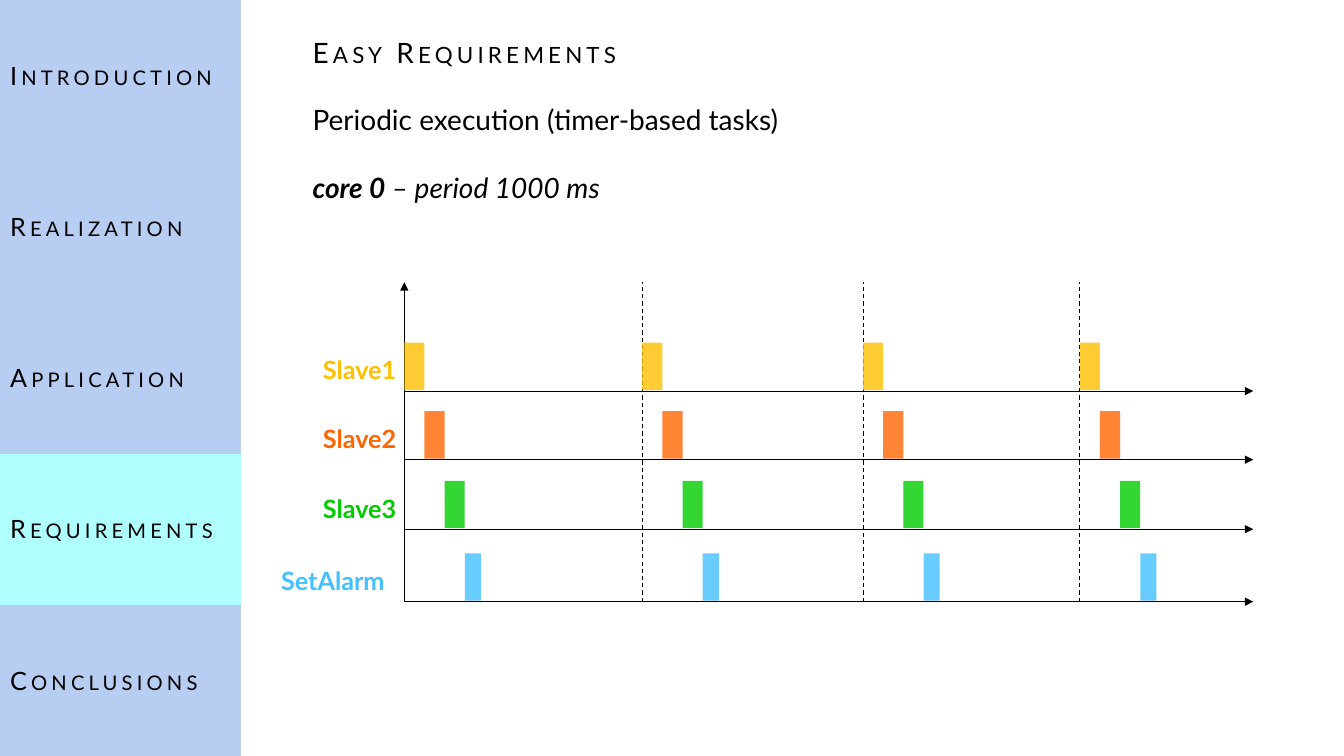
import pptx
import pptx.dml.color
import pptx.enum.dml
import pptx.enum.shapes
import pptx.enum.text
import pptx.oxml
import pptx.oxml.ns
import pptx.util
from pptx.util import Inches

RGBColor = pptx.dml.color.RGBColor
BLACK = RGBColor(0x00, 0x00, 0x00)
SIDEBAR_BLUE = RGBColor(0xB8, 0xCD, 0xF2)
ACTIVE_CYAN = RGBColor(0xAF, 0xFF, 0xFF)
YELLOW = RGBColor(0xFF, 0xC0, 0x00)
ORANGE = RGBColor(0xFF, 0x66, 0x00)
GREEN = RGBColor(0x00, 0xCC, 0x00)
SKY = RGBColor(0x43, 0xC0, 0xFF)

FONT = "Lato"
NO_STYLE = "{2D5ABB26-0587-4C30-8999-92F81FD0307C}"
SECTIONS = ["Introduction", "Realization", "Application", "Requirements", "Conclusions"]
ACTIVE_SECTION = "Requirements"
SIDEBAR_WIDTH, SLIDE_HEIGHT = 2.39, 7.5

# Task name, colour, time axis height, label left edge, execution width
TASKS = [
    ("Slave1", YELLOW, 3.88, 3.0, 0.2),
    ("Slave2", ORANGE, 4.56, 3.0, 0.2),
    ("Slave3", GREEN, 5.25, 3.0, 0.2),
    ("SetAlarm", SKY, 5.97, 2.69, 0.16),
]
PERIOD_STARTS = [4.01, 6.37, 8.56, 10.71]
CHART_TOP, CHART_BOTTOM, TIME_END = 2.8, 5.97, 12.43
LABEL_RIGHT = 4.03
SLOT = 0.2
ALIGN = pptx.enum.text.PP_ALIGN
ANCHOR = pptx.enum.text.MSO_ANCHOR


def add_child(parent, tag, **attributes):
    """Append a DrawingML element with the given attributes."""
    child = pptx.oxml.parse_xml(f"<a:{tag} {pptx.oxml.ns.nsdecls('a')}/>")
    for key, value in attributes.items():
        child.set(key, value)
    parent.append(child)


def add_text(paragraph, text, size=20, color=BLACK, bold=False, italic=False, caps=False):
    """Add a formatted run; caps gives widely spaced small capitals."""
    run = paragraph.add_run()
    run.text = text
    font = run.font
    font.name = FONT
    font.size = pptx.util.Pt(size)
    font.color.rgb = color
    font.bold = bold
    font.italic = italic
    if caps:
        properties = run._r.get_or_add_rPr()
        properties.set("cap", "small")
        properties.set("spc", "300")


def place(placeholder, top, height):
    """Move a placeholder into the heading column and return its text frame."""
    placeholder.left, placeholder.top = Inches(3), Inches(top)
    placeholder.width, placeholder.height = Inches(7.9), Inches(height)
    frame = placeholder.text_frame
    frame.vertical_anchor = ANCHOR.TOP
    frame.auto_size = pptx.enum.text.MSO_AUTO_SIZE.NONE
    return frame


def add_statement(paragraph, space_before):
    """Turn a body paragraph into a plain line without bullet or indent."""
    paragraph.space_before = pptx.util.Pt(space_before)
    properties = paragraph._p.get_or_add_pPr()
    properties.set("marL", "0")
    properties.set("indent", "0")
    add_child(properties, "buNone")
    return paragraph


def add_block(slide, left, top, width, height, color, opacity=100):
    """Add a borderless rectangle, optionally translucent."""
    block = slide.shapes.add_shape(
        pptx.enum.shapes.MSO_SHAPE.RECTANGLE,
        Inches(left), Inches(top), Inches(width), Inches(height))
    block.shadow.inherit = False
    block.fill.solid()
    block.fill.fore_color.rgb = color
    block.line.fill.background()
    if opacity < 100:
        fill_color = block._element.spPr.find(".//" + pptx.oxml.ns.qn("a:srgbClr"))
        add_child(fill_color, "alpha", val=str(opacity * 1000))


def add_line(slide, start, end, width=0.5, dashed=False):
    """Add a black line: an arrow, or a dashed line without arrowhead."""
    connector = slide.shapes.add_connector(
        pptx.enum.shapes.MSO_CONNECTOR.STRAIGHT,
        *(Inches(value) for value in (*start, *end)))
    line = connector.line
    line.color.rgb = BLACK
    line.width = pptx.util.Pt(width)
    if dashed:
        line.dash_style = pptx.enum.dml.MSO_LINE.DASH
    else:
        add_child(line._get_or_add_ln(), "tailEnd", type="triangle")
    add_child(connector._element.spPr, "effectLst")


def add_label(slide, text, left, top, color):
    """Add a task name that ends beside the vertical axis."""
    label = slide.shapes.add_textbox(
        Inches(left), Inches(top), Inches(LABEL_RIGHT - left), Inches(0.4))
    frame = label.text_frame
    frame.word_wrap = False
    paragraph = frame.paragraphs[0]
    paragraph.alignment = ALIGN.LEFT if text == "SetAlarm" else ALIGN.RIGHT
    add_text(paragraph, text, size=18, color=color, bold=True)


def add_sidebar(slide):
    """Add the section list with the active section highlighted."""
    add_block(slide, 0, 0, SIDEBAR_WIDTH, SLIDE_HEIGHT, SIDEBAR_BLUE)
    frame = slide.shapes.add_table(
        len(SECTIONS), 1, 0, 0, Inches(SIDEBAR_WIDTH), Inches(SLIDE_HEIGHT))
    sections = frame.table
    sections.first_row = sections.horz_banding = False
    sections._tbl.tblPr.find(pptx.oxml.ns.qn("a:tableStyleId")).text = NO_STYLE
    for row, section in enumerate(SECTIONS):
        cell = sections.cell(row, 0)
        cell.vertical_anchor = ANCHOR.MIDDLE
        cell.fill.solid()
        cell.fill.fore_color.rgb = ACTIVE_CYAN if section == ACTIVE_SECTION else SIDEBAR_BLUE
        paragraph = cell.text_frame.paragraphs[0]
        paragraph.alignment = ALIGN.LEFT
        add_text(paragraph, section, size=18, caps=True)


def add_headings(slide):
    """Fill the title and the two statements below it."""
    heading = place(slide.shapes.title, 0.3, 0.5).paragraphs[0]
    heading.alignment = ALIGN.LEFT
    add_text(heading, "Easy Requirements", caps=True)

    body = place(slide.placeholders[1], 0.97, 1.11)
    add_text(add_statement(body.paragraphs[0], 0), "Periodic execution (timer-based tasks)")
    period = add_statement(body.add_paragraph(), 24)
    add_text(period, "core 0", bold=True, italic=True)
    add_text(period, " – period 1000 ms", italic=True)


def add_timeline(slide):
    """Draw the periodic schedule of all tasks."""
    origin = PERIOD_STARTS[0]
    add_line(slide, (origin, CHART_BOTTOM), (origin, CHART_TOP))
    for name, color, axis, label_left, _ in TASKS:
        add_line(slide, (origin, axis), (TIME_END, axis))
        add_label(slide, name, label_left, axis - 0.41, color)
    for start in PERIOD_STARTS[1:]:
        add_line(slide, (start, CHART_BOTTOM), (start, CHART_TOP), width=0.75, dashed=True)
    for slot, (_, color, axis, _, width) in enumerate(TASKS):
        for start in PERIOD_STARTS:
            add_block(slide, start + slot * SLOT, axis - 0.48, width, 0.47, color, opacity=80)


def main():
    """Build and save the slide."""
    deck = pptx.Presentation()
    deck.slide_width, deck.slide_height = Inches(13.33), Inches(SLIDE_HEIGHT)
    slide = deck.slides.add_slide(deck.slide_layouts[1])
    add_sidebar(slide)
    add_headings(slide)
    add_timeline(slide)
    deck.save("out.pptx")


main()
